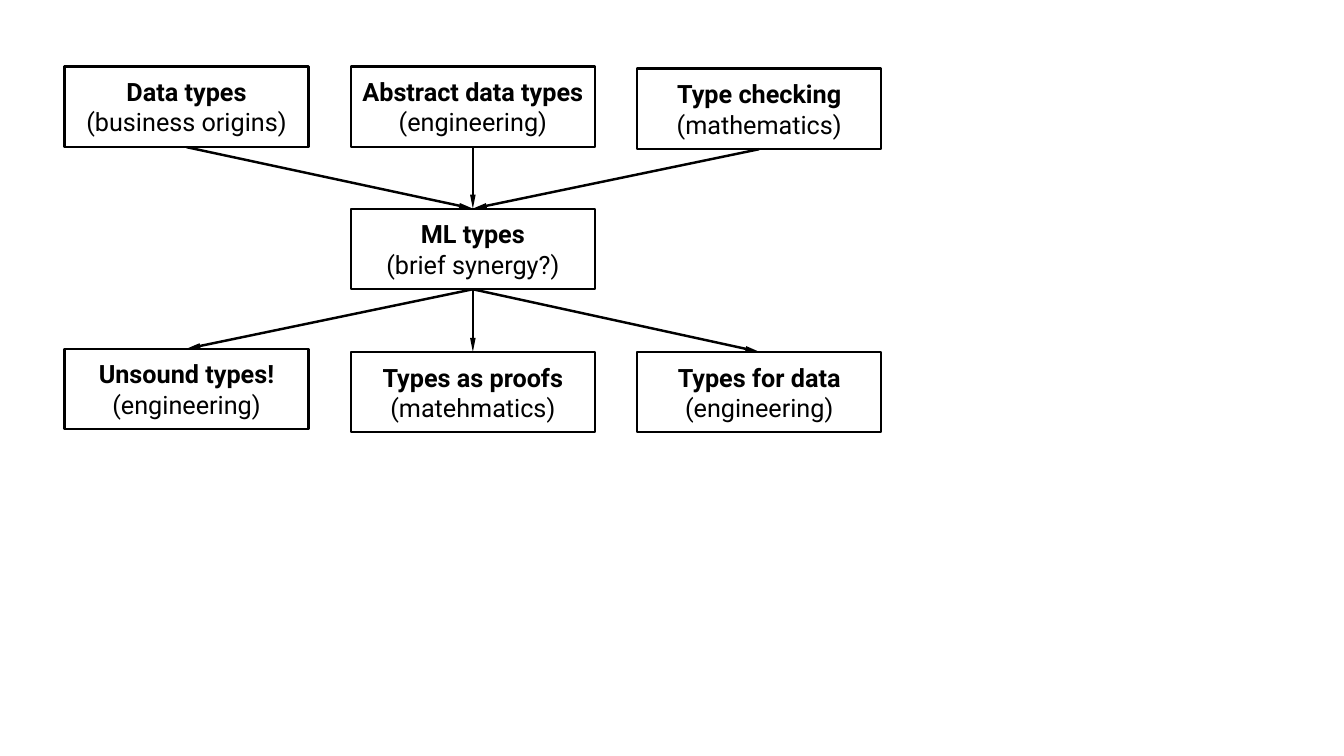
from dataclasses import dataclass

from lxml.etree import SubElement
from pptx import Presentation
from pptx.dml.color import RGBColor
from pptx.enum.shapes import MSO_CONNECTOR, MSO_SHAPE
from pptx.enum.text import MSO_ANCHOR, PP_ALIGN
from pptx.oxml.ns import qn
from pptx.shapes.autoshape import Shape
from pptx.slide import Slide
from pptx.util import Inches, Pt


@dataclass(frozen=True)
class Theme:
    ink: RGBColor = RGBColor(0, 0, 0)
    paper: RGBColor = RGBColor(255, 255, 255)
    font: str = "Roboto"
    size: float = 18
    border: float = 1.5
    arrow: float = 1.75


@dataclass(frozen=True)
class Grid:
    left: float = 0.64
    pitch: float = 2.84
    width: float = 2.42
    height: float = 0.8
    rows: tuple[float, ...] = (0.66, 2.07, 3.49)


@dataclass(frozen=True)
class Box:
    title: str
    note: str
    col: int
    row: int
    shift: float = 0  # small vertical offset from the row, in inches


THEME = Theme()
GRID = Grid()
TOP, BOTTOM = 0, 2  # connection sites of a rectangle

HUB = Box("ML types", "(brief synergy?)", 1, 1)
ROOTS = [
    Box("Data types", "(business origins)", 0, 0),
    Box("Abstract data types", "(engineering)", 1, 0),
    Box("Type checking", "(mathematics)", 2, 0, 0.02),
]
HEIRS = [
    Box("Unsound types!", "(engineering)", 0, 2, -0.03),
    Box("Types as proofs", "(matehmatics)", 1, 2),
    Box("Types for data", "(engineering)", 2, 2),
]


def draw_box(slide: Slide, box: Box) -> Shape:
    shape = slide.shapes.add_shape(
        MSO_SHAPE.RECTANGLE,
        Inches(GRID.left + box.col * GRID.pitch),
        Inches(GRID.rows[box.row] + box.shift),
        Inches(GRID.width),
        Inches(GRID.height),
    )
    shape.shadow.inherit = False
    shape.fill.solid()
    shape.fill.fore_color.rgb = THEME.paper
    shape.line.color.rgb = THEME.ink
    shape.line.width = Pt(THEME.border)

    # Bold title, line break, plain note
    frame = shape.text_frame
    frame.word_wrap = True
    frame.vertical_anchor = MSO_ANCHOR.MIDDLE
    para = frame.paragraphs[0]
    para.text = f"{box.title}\v{box.note}"
    para.alignment = PP_ALIGN.CENTER
    para.font.size = Pt(THEME.size)
    for run, bold in zip(para.runs, (True, False)):
        run.font.name = THEME.font
        run.font.size = Pt(THEME.size)
        run.font.color.rgb = THEME.ink
        run.font.bold = bold
    return shape


def draw_arrow(slide: Slide, start: Shape, end: Shape) -> None:
    link = slide.shapes.add_connector(MSO_CONNECTOR.STRAIGHT, 0, 0, 0, 0)
    link.begin_connect(start, BOTTOM)
    link.end_connect(end, TOP)
    link.line.color.rgb = THEME.ink
    link.line.width = Pt(THEME.arrow)
    # Slim arrowhead, no shadow
    line = link.line._get_or_add_ln()
    SubElement(line, qn("a:tailEnd"), type="triangle", w="sm", len="lg")
    SubElement(link._element.spPr, qn("a:effectLst"))


def main() -> None:
    deck = Presentation()
    deck.slide_width = Inches(13.33)
    deck.slide_height = Inches(7.5)
    slide = deck.slides.add_slide(deck.slide_layouts[6])

    # Boxes
    hub = draw_box(slide, HUB)
    roots = [draw_box(slide, box) for box in ROOTS]
    heirs = [draw_box(slide, box) for box in HEIRS]

    # Arrows into and out of the hub
    for root in roots:
        draw_arrow(slide, root, hub)
    for heir in heirs:
        draw_arrow(slide, hub, heir)

    deck.save("out.pptx")


if __name__ == "__main__":
    main()
